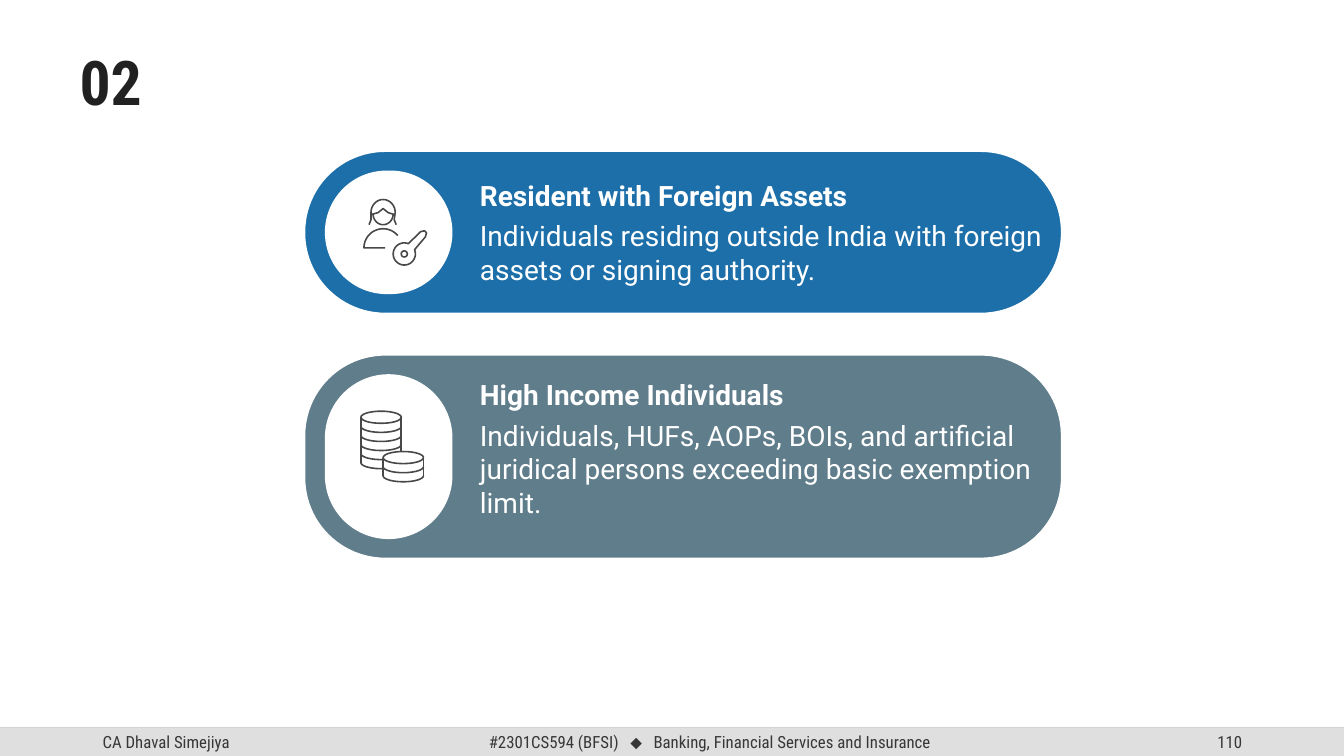
from math import cos, sin, radians
from lxml.etree import SubElement
from pptx import Presentation
from pptx.dml.color import RGBColor
from pptx.enum.shapes import MSO_CONNECTOR, MSO_SHAPE
from pptx.enum.text import MSO_ANCHOR, PP_ALIGN
from pptx.oxml.ns import qn
from pptx.util import Inches, Pt

THEME = {
    "white": RGBColor.from_string("FFFFFF"),
    "blue": RGBColor.from_string("1D6FA9"),
    "slate": RGBColor.from_string("607D8B"),
    "ink": RGBColor.from_string("484848"),
    "title": RGBColor.from_string("212121"),
    "bar": RGBColor.from_string("DFDFDF"),
    "rule": RGBColor.from_string("BFBFBF"),
    "foot": RGBColor.from_string("373737"),
    "number": {"size": Pt(44), "name": "Roboto Condensed", "bold": True},
    "head": {"size": Pt(20), "name": "Roboto", "bold": True},
    "body": {"size": Pt(20), "name": "Roboto", "bold": False},
    "small": {"size": Pt(12), "name": "Roboto Condensed"},
    "mark": {"size": Pt(12), "name": "Arial"},
    "stroke": Pt(1.12),
}


def write(place, runs, color, frame, align=PP_ALIGN.LEFT):
    box = slide.shapes.add_textbox(*map(Inches, place))
    for key, value in frame.items():
        setattr(box.text_frame, key, value)
    para = box.text_frame.paragraphs[0]
    para.alignment = align
    for text, style, gap in runs:
        for step, line in enumerate(text.split("\n")):
            if step:
                para.add_line_break()
            run = para.add_run()
            run.text = line
            run.font.color.rgb = THEME[color]
            for key, value in THEME[style].items():
                setattr(run.font, key, value)
            if gap:
                run.font._element.set("spc", str(gap))


def arc(x, y, wide, high, start=0, end=360):
    turns = [radians(start + (end - start) * i / 32) for i in range(33)]
    return [(x + wide * cos(t), y + high * sin(t)) for t in turns]


deck = Presentation()
deck.slide_width, deck.slide_height = Inches(13.33), Inches(7.5)
slide = deck.slides.add_slide(deck.slide_layouts[6])

# Footer rule and bar
rule = slide.shapes.add_connector(
    MSO_CONNECTOR.STRAIGHT, 0, Inches(7.22), Inches(13.33), Inches(7.22))
rule.line.color.rgb = THEME["rule"]
rule.line.width = Pt(1)
tint = rule._element.spPr.find(".//" + qn("a:srgbClr"))
SubElement(tint, qn("a:alpha")).set("val", "70000")
SubElement(rule._element.spPr, qn("a:effectLst"))
bar = slide.shapes.add_shape(
    MSO_SHAPE.RECTANGLE, 0, Inches(7.22), Inches(13.33), Inches(0.28))
bar.shadow.inherit = False
bar.fill.solid()
bar.fill.fore_color.rgb = THEME["bar"]
bar.line.fill.background()

# Footer text
middle = [("#2301CS594 (BFSI)", "small", 0), (" ", "small", 540), ("⬥", "mark", 0),
          (" ", "small", 540), ("Banking, Financial Services and Insurance", "small", 0)]
for left, width, runs, align in [
    (0.92, 3, [("CA Dhaval Simejiya", "small", 0)], PP_ALIGN.LEFT),
    (4.42, 5.24, middle, PP_ALIGN.CENTER),
    (9.42, 3, [("110", "small", 0)], PP_ALIGN.RIGHT),
]:
    write((left, 7.22, width, 0.28), runs, "foot",
          {"word_wrap": True, "vertical_anchor": MSO_ANCHOR.MIDDLE}, align)

# Section number
write((0.69, 0.39, 0.95, 0.84), [("02", "number", 0)], "title", {"word_wrap": True})

# Pills with a white window and two texts
bare = {"word_wrap": False, "margin_left": 0, "margin_right": 0,
        "margin_top": 0, "margin_bottom": 0}
for top, high, color, first, head, body in [
    (1.5, 1.61, "blue", 1.77, "Resident with Foreign Assets",
     "Individuals residing outside India with foreign\nassets or signing authority."),
    (3.52, 2.02, "slate", 3.75, "High Income Individuals",
     "Individuals, HUFs, AOPs, BOIs, and artificial\n"
     "juridical persons exceeding basic exemption\nlimit."),
]:
    for place, fill, curve in [
        ((3.02, top, 7.51, high), color, 0.8 / high),
        ((3.23, top + 0.2, 1.25, high - 0.4), "white", 0.5),
    ]:
        part = slide.shapes.add_shape(
            MSO_SHAPE.ROUNDED_RECTANGLE, *map(Inches, place))
        part.adjustments[0] = min(curve, 0.5)
        part.shadow.inherit = False
        part.fill.solid()
        part.fill.fore_color.rgb = THEME[fill]
        part.line.color.rgb = THEME["white"]
        part.line.width = THEME["stroke"]
    write((4.76, first, 3.68, 0.34), [(head, "head", 0)], "white", bare)
    write((4.76, first + 0.4, 5.63, 0.67), [(body, "body", 0)], "white", bare)

# Person with a key
person = [
    [(3.66, 2.23), (3.68, 2.18), *arc(3.8, 2.11, 0.12, 0.13, 180, 360),
     (3.91, 2.18), (3.93, 2.23)],
    [(3.68, 2.13), (3.75, 2.11), (3.8, 2.07), (3.85, 2.11), (3.91, 2.13)],
    arc(3.8, 2.12, 0.1, 0.11, 180, 0),
    [(3.82, 2.46), *arc(3.8, 2.46, 0.19, 0.19, 180, 320)],
    [*arc(4.01, 2.52, 0.11, 0.11, -22, 292), (4.17, 2.3), (4.21, 2.29),
     (4.23, 2.31), (4.22, 2.35), (4.11, 2.48)],
    arc(4.01, 2.52, 0.03, 0.03),
]

# Two stacks of coins
tall = [4.14 + 0.09 * i for i in range(6)]
low = [4.54 + 0.09 * i for i in range(3)]
coins = [
    arc(3.78, tall[0], 0.2, 0.06),
    *[arc(3.78, y, 0.2, 0.06, 0, 180) for y in tall[1:4]],
    *[arc(3.78, y, 0.2, 0.06, 85, 180) for y in tall[4:]],
    [(3.58, tall[0]), (3.58, tall[-1])],
    [(3.98, tall[0]), (3.98, 4.48)],
    arc(4, low[0], 0.2, 0.06),
    *[arc(4, y, 0.2, 0.06, 0, 180) for y in low[1:]],
    *[[(x, low[0]), (x, low[-1])] for x in (3.8, 4.2)],
]

# Line icons
for icon in (person, coins):
    lines = [[(Inches(x), Inches(y)) for x, y in line] for line in icon]
    pen = slide.shapes.build_freeform(*lines[0][0])
    for line in lines:
        pen.move_to(*line[0])
        pen.add_line_segments(line[1:], close=False)
    art = pen.convert_to_shape()
    art.shadow.inherit = False
    art.fill.background()
    art.line.color.rgb = THEME["ink"]
    art.line.width = THEME["stroke"]

deck.save("out.pptx")
